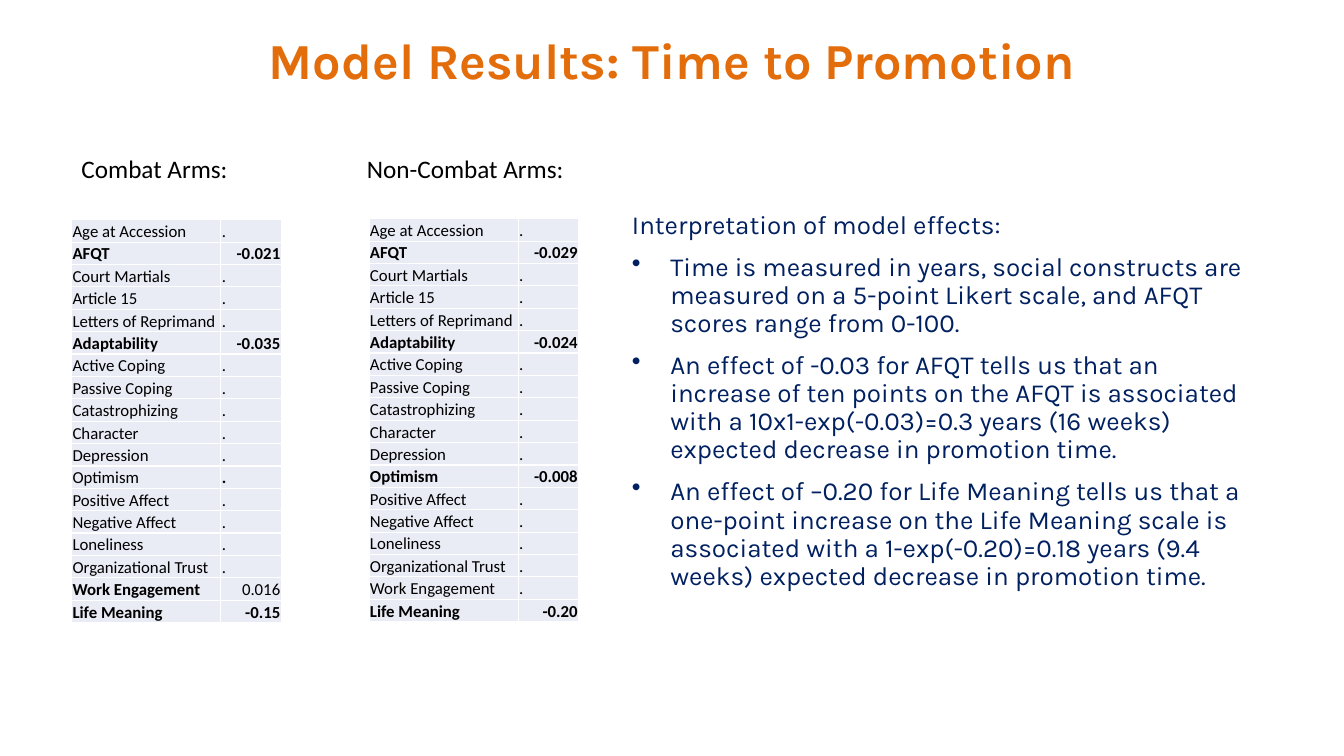
from pptx import Presentation
from pptx.dml.color import RGBColor
from pptx.enum.text import MSO_ANCHOR as ANCHOR, PP_ALIGN as ALIGN
from pptx.oxml import parse_xml
from pptx.oxml.ns import nsdecls
from pptx.util import Inches, Pt

ORANGE = RGBColor(0xE3, 0x6C, 0x0B)
NAVY = RGBColor(0x00, 0x20, 0x60)
BLACK = RGBColor(0, 0, 0)
WHITE = RGBColor(255, 255, 255)
PALE_BLUE = RGBColor(0xE9, 0xEB, 0xF5)

TITLE = "Model Results: Time to Promotion"
FACTORS = [
    "Age at Accession", "AFQT", "Court Martials", "Article 15",
    "Letters of Reprimand", "Adaptability", "Active Coping", "Passive Coping",
    "Catastrophizing", "Character", "Depression", "Optimism",
    "Positive Affect", "Negative Affect", "Loneliness",
    "Organizational Trust", "Work Engagement", "Life Meaning",
]
NO_EFFECT = (".", False, False)
# value, bold factor, bold value
GROUPS = [
    ("Combat Arms:", (0.71, 1.47, 2.1, 0.4), (0.71, 2.18), {
        "AFQT": ("-0.021", True, True),
        "Adaptability": ("-0.035", True, True),
        "Optimism": (".", False, True),
        "Work Engagement": ("0.016", True, False),
        "Life Meaning": ("-0.15", True, True),
    }),
    ("Non-Combat Arms:", (3.54, 1.47, 2.31, 0.4), (3.66, 2.17), {
        "AFQT": ("-0.029", True, True),
        "Adaptability": ("-0.024", True, True),
        "Optimism": ("-0.008", True, True),
        "Life Meaning": ("-0.20", True, True),
    }),
]
INTERPRETATION = "Interpretation of model effects:"
EFFECT_NOTES = [
    "Time is measured in years, social constructs are measured on a 5-point Likert scale, and AFQT scores range from 0-100.",
    "An effect of -0.03 for AFQT tells us that an increase of ten points on the AFQT is associated with a 10x1-exp(-0.03)=0.3 years (16 weeks) expected decrease in promotion time.",
    "An effect of –0.20 for Life Meaning tells us that a one-point increase on the Life Meaning scale is associated with a 1-exp(-0.20)=0.18 years (9.4 weeks) expected decrease in promotion time.",
]

COL_WIDTHS = (1.48, 0.6)
TABLE_HEIGHT = 4
CELL_FORMAT = {
    "margin_left": Inches(0.01), "margin_right": Inches(0.01),
    "margin_top": Inches(0.01), "margin_bottom": 0,
    "vertical_anchor": ANCHOR.BOTTOM,
}
TITLE_FONT = {"name": "Karla", "size": Pt(36), "bold": True}
BODY_FONT = {"name": "Karla", "size": Pt(18.6)}
LABEL_FONT = {"name": "Calibri", "size": Pt(18)}
CELL_FONT = {"name": "Calibri", "size": Pt(12)}


def apply(target, values):
    for key, value in values.items():
        setattr(target, key, value)


def write(p, text, font, color, **paragraph_format):
    apply(p, paragraph_format)
    r = p.add_run()
    r.text = text
    apply(r.font, font)
    r.font.color.rgb = color


def add_box(s, box, anchor=ANCHOR.TOP):
    tf = s.shapes.add_textbox(*map(Inches, box)).text_frame
    apply(tf, {"word_wrap": True, "vertical_anchor": anchor})
    return tf


def add_bullet(p):
    pPr = p._p.get_or_add_pPr()
    pPr.set("marL", str(Inches(0.38)))
    pPr.set("indent", str(-Inches(0.38)))
    pPr.append(parse_xml(f'<a:buChar {nsdecls("a")} char="•"/>'))


def format_cell(cell, text, bold):
    apply(cell, CELL_FORMAT)
    tcPr = cell._tc.get_or_add_tcPr()
    for side in "LRTB":
        tcPr.append(parse_xml(
            f'<a:ln{side} {nsdecls("a")} w="{Pt(1)}"><a:solidFill>'
            f'<a:srgbClr val="{WHITE}"/></a:solidFill></a:ln{side}>'))
    cell.fill.solid()
    cell.fill.fore_color.rgb = PALE_BLUE
    numeric = text[-1].isdigit() and text not in FACTORS
    write(cell.text_frame.paragraphs[0], text, {**CELL_FONT, "bold": bold},
          BLACK, alignment=ALIGN.RIGHT if numeric else ALIGN.LEFT)


def add_effects(s, position, effects):
    box = (*position, sum(COL_WIDTHS), TABLE_HEIGHT)
    table = s.shapes.add_table(len(FACTORS), 2, *map(Inches, box)).table
    apply(table, {"first_row": False, "horz_banding": False})
    for column, width in zip(table.columns, COL_WIDTHS):
        column.width = Inches(width)
    for i, factor in enumerate(FACTORS):
        table.rows[i].height = Inches(TABLE_HEIGHT / len(FACTORS))
        value, bold_factor, bold_value = effects.get(factor, NO_EFFECT)
        format_cell(table.cell(i, 0), factor, bold_factor)
        format_cell(table.cell(i, 1), value, bold_value)


def main():
    prs = Presentation()
    apply(prs, {"slide_width": Inches(13.33), "slide_height": Inches(7.5)})
    s = prs.slides.add_slide(prs.slide_layouts[6])

    tf = add_box(s, (0, 0.28, 13.33, 0.7), ANCHOR.MIDDLE)
    write(tf.paragraphs[0], TITLE, TITLE_FONT, ORANGE,
          alignment=ALIGN.CENTER, line_spacing=0.9)

    for label, label_box, position, effects in GROUPS:
        tf = add_box(s, label_box)
        write(tf.paragraphs[0], label, LABEL_FONT, BLACK)
        add_effects(s, position, effects)

    tf = add_box(s, (6.17, 2.05, 6.47, 4.02))
    write(tf.paragraphs[0], INTERPRETATION, BODY_FONT, NAVY, line_spacing=0.9)
    for note in EFFECT_NOTES:
        p = tf.add_paragraph()
        add_bullet(p)
        write(p, note, BODY_FONT, NAVY, line_spacing=0.9, space_before=Pt(10))

    prs.save("out.pptx")


if __name__ == "__main__":
    main()
